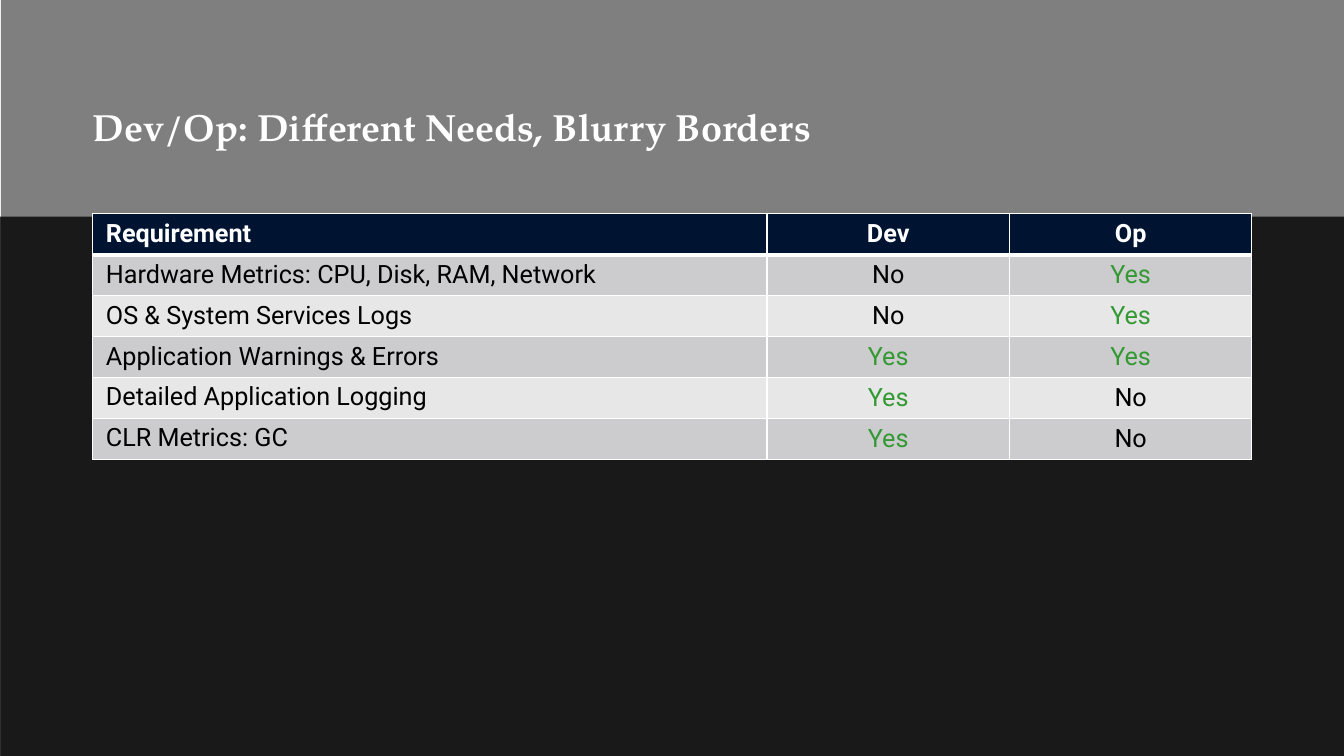
from lxml import etree
from pptx import Presentation
from pptx.dml.color import RGBColor
from pptx.enum.shapes import MSO_SHAPE
from pptx.enum.text import MSO_ANCHOR, MSO_AUTO_SIZE, PP_ALIGN
from pptx.oxml.ns import qn
from pptx.util import Cm, Pt

RECTANGLE = MSO_SHAPE.RECTANGLE
TOP, MIDDLE, BOTTOM = MSO_ANCHOR.TOP, MSO_ANCHOR.MIDDLE, MSO_ANCHOR.BOTTOM
LEFT, CENTER = PP_ALIGN.LEFT, PP_ALIGN.CENTER
NO_AUTOFIT = MSO_AUTO_SIZE.NONE

WHITE = RGBColor(0xFF, 0xFF, 0xFF)
BLACK = RGBColor(0x00, 0x00, 0x00)
NAVY = RGBColor(0x00, 0x14, 0x31)
GREEN = RGBColor(0x33, 0x99, 0x33)
DARK_BAND = RGBColor(0xCC, 0xCC, 0xCE)
LIGHT_BAND = RGBColor(0xE7, 0xE7, 0xE8)

WIDTH, HEIGHT = 33.87, 19.05
MARGIN = 2.34
HEADER_HEIGHT = 5.46

REQUIREMENTS = [
    ("Requirement", "Dev", "Op"),
    ("Hardware Metrics: CPU, Disk, RAM, Network", "No", "Yes"),
    ("OS & System Services Logs", "No", "Yes"),
    ("Application Warnings & Errors", "Yes", "Yes"),
    ("Detailed Application Logging", "Yes", "No"),
    ("CLR Metrics: GC", "Yes", "No"),
]


class SlideBuilder:
    title_font = "TeX Gyre Pagella"
    body_font = "Roboto"

    def __init__(self, deck):
        self.page = deck.slides.add_slide(deck.slide_layouts[5])
        fill = self.page.background.fill
        fill.solid()
        fill.fore_color.rgb = WHITE

    def add_span(self, para, text, font, size, color, bold=False):
        span = para.add_run()
        span.text = text
        span.font.name = font
        span.font.size = Pt(size)
        span.font.bold = bold
        span.font.color.rgb = color

    def overlay(self, left, top, height, opacity):
        """Lay a translucent black panel behind the title."""
        panel = self.page.shapes.add_shape(
            RECTANGLE, Cm(left), Cm(top), Cm(WIDTH), Cm(height))
        panel.shadow.inherit = False
        panel.line.fill.background()
        panel.fill.solid()
        panel.fill.fore_color.rgb = BLACK
        color = panel.element.spPr.find(".//" + qn("a:srgbClr"))
        etree.SubElement(color, qn("a:alpha"), val=str(opacity * 1000))
        self.page.shapes.title.element.addprevious(panel.element)

    def title(self, text):
        box = self.page.shapes.title
        box.left, box.top = Cm(MARGIN), Cm(2.24)
        box.width, box.height = Cm(26.42), Cm(1.52)
        frame = box.text_frame
        frame.margin_left = frame.margin_right = 0
        frame.margin_top = frame.margin_bottom = 0
        frame.auto_size = NO_AUTOFIT
        frame.word_wrap = True
        frame.vertical_anchor = BOTTOM
        para = frame.paragraphs[0]
        para.alignment = LEFT
        para.line_spacing = 0.9
        self.add_span(para, text, self.title_font, 27, WHITE, bold=True)

    def border(self, cell, side, width):
        line = etree.SubElement(cell._tc.get_or_add_tcPr(), qn("a:ln" + side),
                                w=str(Pt(width)))
        fill = etree.SubElement(line, qn("a:solidFill"))
        etree.SubElement(fill, qn("a:srgbClr"), val=str(WHITE))

    def cell(self, cell, text, row, column):
        is_header = row == 0
        for side in "LRTB":
            under_header = (row, side) in ((0, "B"), (1, "T"))
            self.border(cell, side, 3 if under_header else 1)
        cell.fill.solid()
        cell.fill.fore_color.rgb = (
            NAVY if is_header else DARK_BAND if row % 2 else LIGHT_BAND)
        cell.margin_left = cell.margin_right = Cm(0.33)
        cell.margin_top = cell.margin_bottom = Cm(0.13)
        cell.vertical_anchor = TOP if is_header or column == 0 else MIDDLE
        para = cell.text_frame.paragraphs[0]
        para.alignment = CENTER if column else LEFT
        color = WHITE if is_header else GREEN if text == "Yes" else BLACK
        self.add_span(para, text, self.body_font, 18, color, bold=is_header)

    def table(self, rows, widths, top, row_height):
        table = self.page.shapes.add_table(
            len(rows), len(widths), Cm(MARGIN), Cm(top),
            Cm(sum(widths)), Cm(row_height * len(rows))).table
        for column, width in zip(table.columns, widths):
            column.width = Cm(width)
        for row, texts in enumerate(rows):
            table.rows[row].height = Cm(row_height)
            for column, text in enumerate(texts):
                self.cell(table.cell(row, column), text, row, column)


def main():
    deck = Presentation()
    deck.slide_width, deck.slide_height = Cm(WIDTH), Cm(HEIGHT)
    slide = SlideBuilder(deck)
    slide.overlay(0.02, 0, HEIGHT, opacity=50)
    slide.overlay(0, HEADER_HEIGHT, HEIGHT - HEADER_HEIGHT, opacity=80)
    slide.title("Dev/Op: Different Needs, Blurry Borders")
    slide.table(REQUIREMENTS, widths=(16.99, 6.11, 6.11), top=5.39, row_height=1.03)
    deck.save("out.pptx")


if __name__ == "__main__":
    main()
